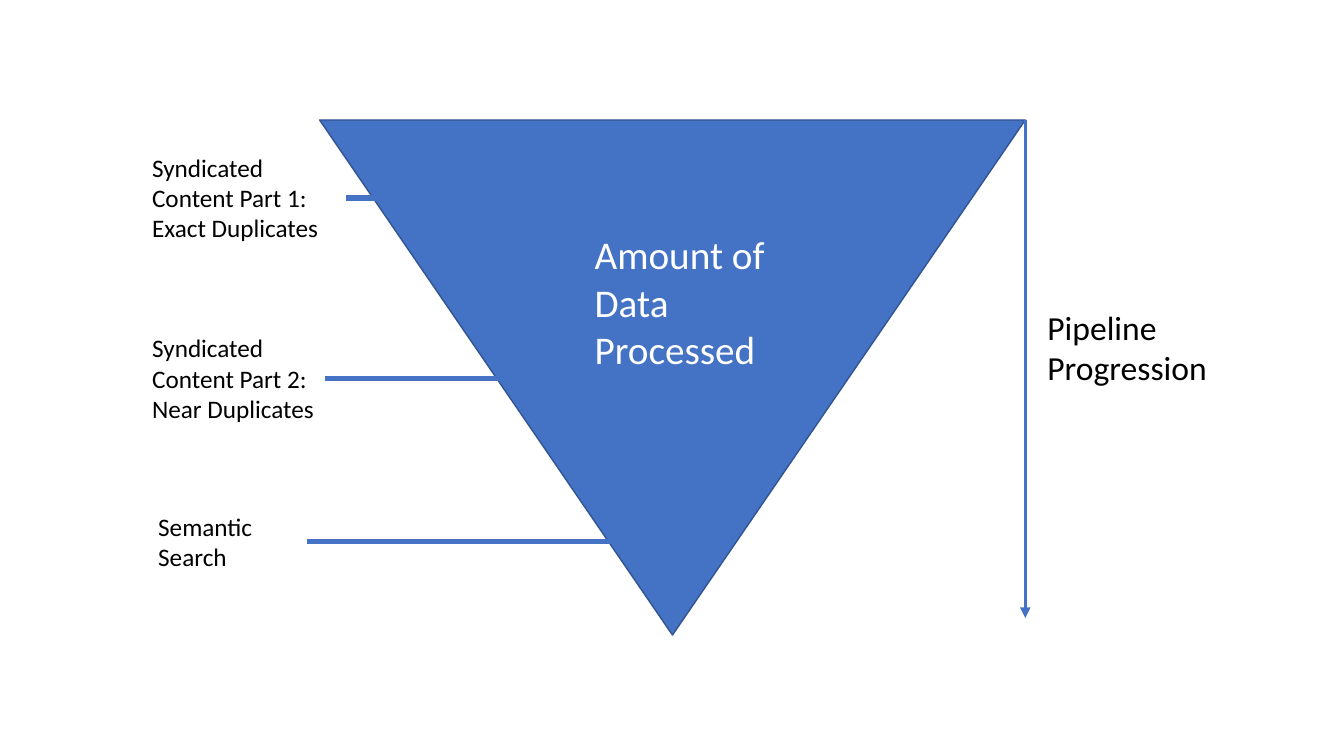
import pptx
import pptx.util
import pptx.dml.color
import pptx.enum.shapes
import pptx.oxml.ns
import lxml.etree

BLUE, OUTLINE, BLACK, WHITE = "4472C4", "325491", "000000", "FFFFFF"


def colour(hex_code):
    """Turn a hex string into a colour."""
    return pptx.dml.color.RGBColor.from_string(hex_code)


def within(box, left, top, width, height):
    """Return the part of a box given by percentages of its size."""
    x, y, w, h = box
    return (round(x + w * left / 100), round(y + h * top / 100),
            round(w * width / 100), round(h * height / 100))


def add_label(slide, box, text, size, hex_code):
    """Write a wrapped label in a box."""
    label = slide.shapes.add_textbox(*box)
    frame = label.text_frame
    frame.word_wrap = True
    frame.text = text
    font = frame.paragraphs[0].runs[0].font
    font.name = "Calibri"
    font.size = pptx.util.Pt(size)
    font.color.rgb = colour(hex_code)


def add_line(slide, start, end, width, arrow=False):
    """Draw a blue line, with an arrowhead at its end if asked."""
    line = slide.shapes.add_connector(
        pptx.enum.shapes.MSO_CONNECTOR.STRAIGHT, *start, *end)
    line.line.color.rgb = colour(BLUE)
    line.line.width = pptx.util.Pt(width)
    if arrow:
        outline = line.line._get_or_add_ln()
        lxml.etree.SubElement(
            outline, pptx.oxml.ns.qn("a:tailEnd"), type="triangle")
    lxml.etree.SubElement(
        line._element.spPr, pptx.oxml.ns.qn("a:effectLst"))


def add_funnel(slide, box):
    """Draw the inverted triangle of data volume and its title."""
    funnel = slide.shapes.add_shape(
        pptx.enum.shapes.MSO_SHAPE.ISOSCELES_TRIANGLE, *box)
    funnel.rotation = 180
    funnel.shadow.inherit = False
    funnel.fill.solid()
    funnel.fill.fore_color.rgb = colour(BLUE)
    funnel.line.color.rgb = colour(OUTLINE)
    funnel.line.width = pptx.util.Pt(1)
    add_label(slide, within(box, 37.57, 20.55, 28.57, 29.55),
              "Amount of Data Processed", 28, WHITE)


def add_progression(slide, box):
    """Draw the downward arrow on the left edge and its label."""
    x, y, _, height = box
    add_label(slide, within(box, 5.33, 36.44, 94.67, 18.42),
              "Pipeline Progression", 24, BLACK)
    add_line(slide, (x, y), (x, y + height), 2.5, arrow=True)


def add_stages(slide, box):
    """Place the stage labels, each with a line leading to the funnel."""
    stages = [
        ("Syndicated Content Part 1: Exact Duplicates",
         (0, 0, 38.62, 23.65), 52.01),
        ("Syndicated Content Part 2: Near Duplicates",
         (0, 41.92, 34.61, 23.65), 83.94),
        ("Semantic Search", (1.15, 83.37, 30.02, 16.63), 100),
    ]
    for name, shares, reach in stages:
        x, y, width, height = stage = within(box, *shares)
        middle = y + height // 2
        end = box[0] + round(box[2] * reach / 100)
        add_label(slide, stage, name, 18, BLACK)
        add_line(slide, (x + width, middle), (end, middle), 3.75)


def build():
    """Build and save the presentation."""
    deck = pptx.Presentation()
    deck.slide_width = pptx.util.Inches(13.33)
    deck.slide_height = pptx.util.Inches(7.5)
    slide = deck.slides.add_slide(deck.slide_layouts[6])
    page = (0, 0, deck.slide_width, deck.slide_height)
    add_funnel(slide, within(page, 23.78, 15.87, 52.51, 68.13))
    add_progression(slide, within(page, 76.29, 15.87, 16.88, 65.87))
    add_stages(slide, within(page, 10.58, 19.47, 39.23, 56.93))
    deck.save("out.pptx")


build()
